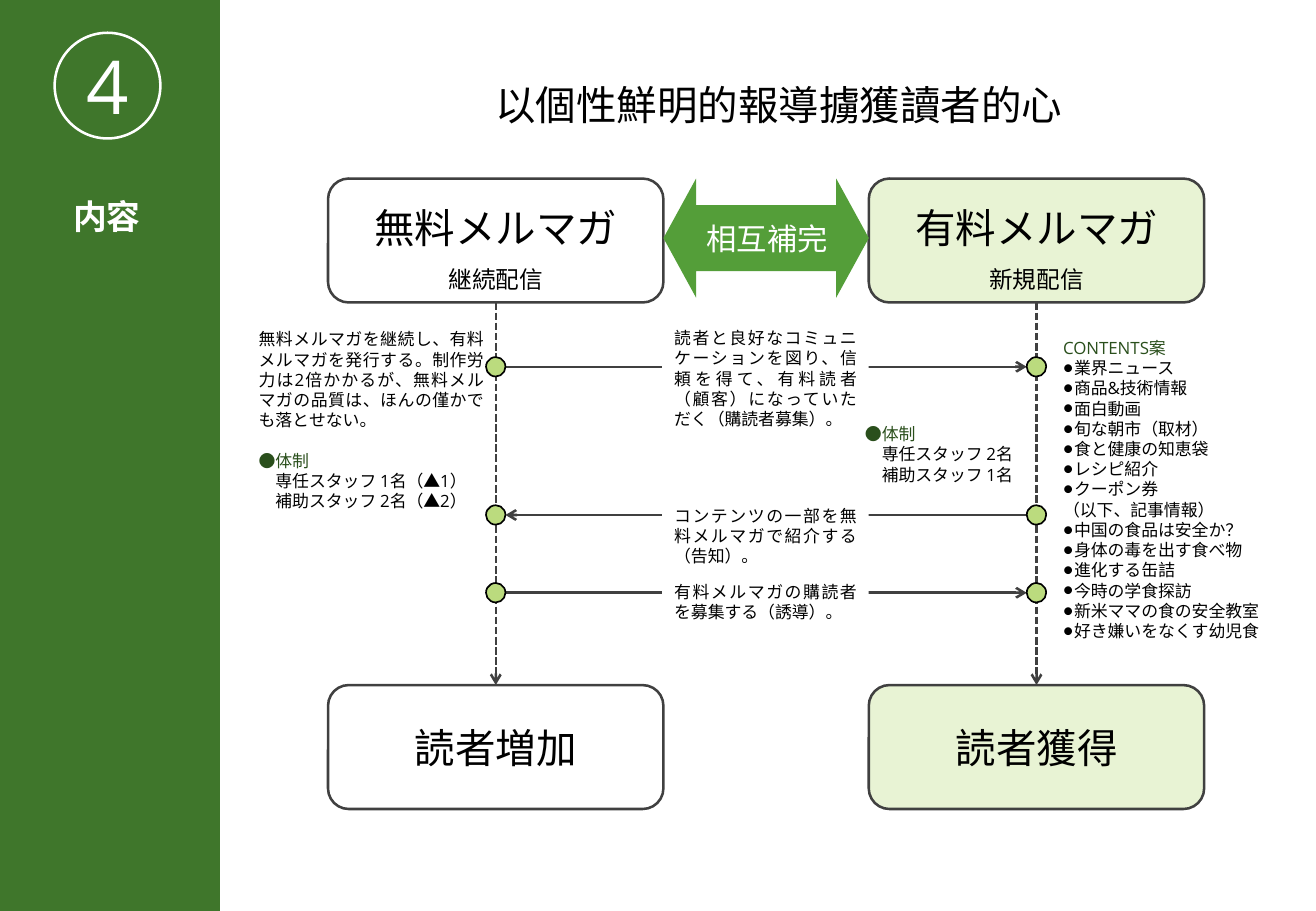
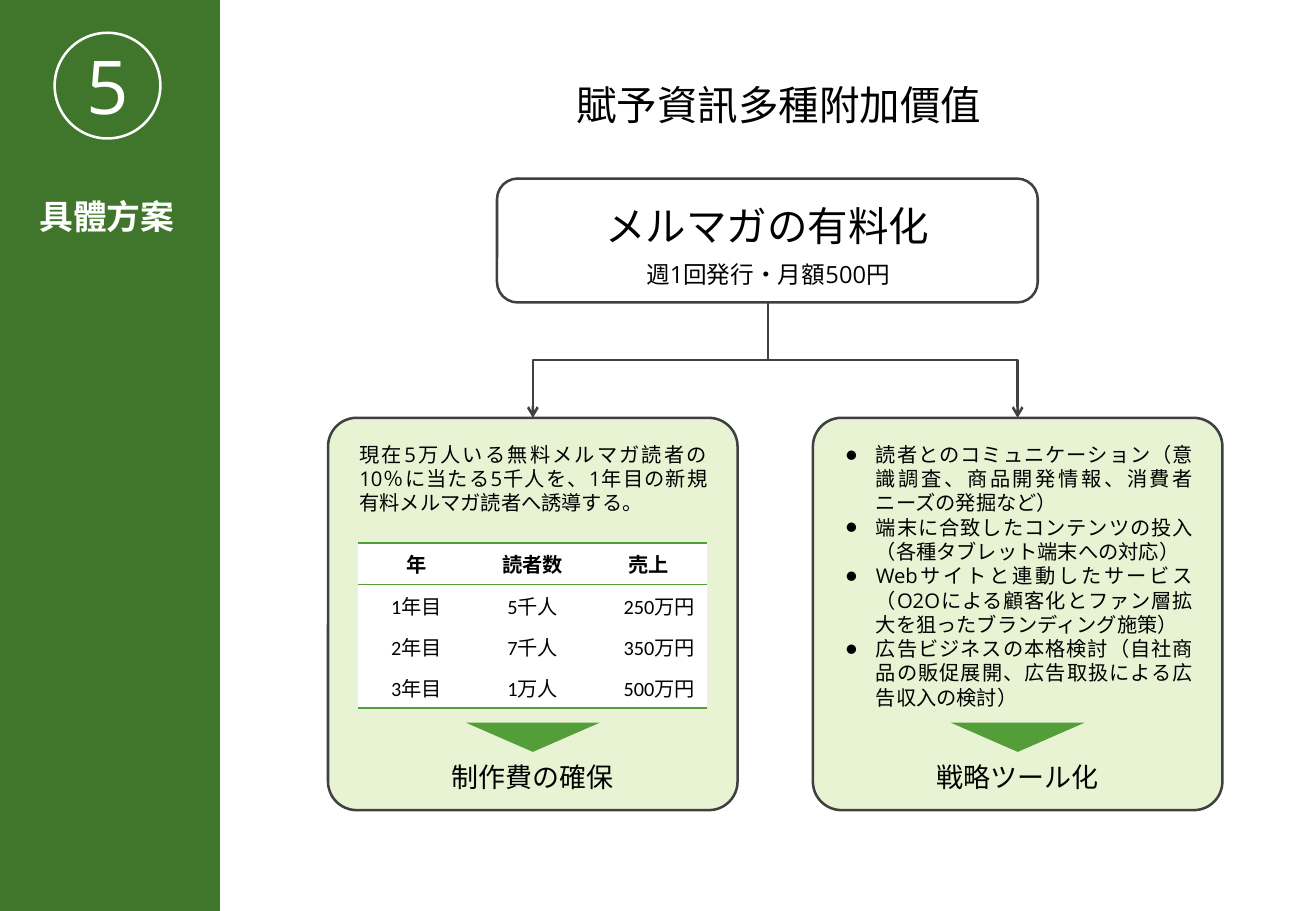
from lxml import etree
from pptx import Presentation
from pptx.dml.color import RGBColor
from pptx.enum.dml import MSO_LINE
from pptx.enum.shapes import MSO_CONNECTOR, MSO_SHAPE
from pptx.enum.text import MSO_ANCHOR, PP_ALIGN
from pptx.oxml.ns import qn
from pptx.util import Inches, Pt

RECT, ROUNDED = MSO_SHAPE.RECTANGLE, MSO_SHAPE.ROUNDED_RECTANGLE
OVAL, TRIANGLE = MSO_SHAPE.OVAL, MSO_SHAPE.ISOSCELES_TRIANGLE
DOUBLE_ARROW, DOT = MSO_SHAPE.LEFT_RIGHT_ARROW, MSO_SHAPE.FLOWCHART_CONNECTOR
STRAIGHT, ELBOW = MSO_CONNECTOR.STRAIGHT, MSO_CONNECTOR.ELBOW
CENTER, JUSTIFY, RIGHT = PP_ALIGN.CENTER, PP_ALIGN.JUSTIFY, PP_ALIGN.RIGHT
TOP, MIDDLE = MSO_ANCHOR.TOP, MSO_ANCHOR.MIDDLE
DASH = MSO_LINE.SQUARE_DOT

SIDEBAR, GREEN, DARK_GREEN = "3F762B", "549E39", "2A4F1C"
PALE, DOT_GREEN, OUTLINE = "E8F3D4", "BBDB7E", "404040"
BLACK, WHITE = "000000", "FFFFFF"
BODY_FONT, CJK_FONT, TABLE_FONT = "Open Sans", "Noto Sans CJK JP", "Calibri"
BULLET_FONT = "Calibri"
LINE_RATIO = 1.2
PLAIN_TABLE_STYLE = "{2D5ABB26-0587-4C30-8999-92F81FD0307C}"

CARD_W, CARD_H, CARD_TOP, GOAL_TOP = 2.76, 1.02, 1.47, 5.64
CONTENTS_LINES = [
    "CONTENTS案", "業界ニュース", "商品&技術情報", "面白動画", "旬な朝市（取材）",
    "食と健康の知恵袋", "レシピ紹介", "クーポン券", "（以下、記事情報）",
    "中国の食品は安全か？", "身体の毒を出す食べ物", "進化する缶詰",
    "今時の学食探訪", "新米ママの食の安全教室", "好き嫌いをなくす幼児食",
]
STRATEGIES = [
    "読者とのコミュニケーション（意識調査、商品開発情報、消費者ニーズの発掘など）",
    "端末に合致したコンテンツの投入（各種タブレット端末への対応）",
    "Webサイトと連動したサービス（O2Oによる顧客化とファン層拡大を狙ったブランディング施策）",
    "広告ビジネスの本格検討（自社商品の販促展開、広告取扱による広告収入の検討）",
]
SALES = [
    ("年", "読者数", "売上"),
    ("1年目", "5千人", "250万円"),
    ("2年目", "7千人", "350万円"),
    ("3年目", "1万人", "500万円"),
]


def rgb(hex_color):
    """Turn a hex string into a colour."""
    return RGBColor.from_string(hex_color)


def add_bullet(paragraph, indent):
    """Give a paragraph a round bullet with a hanging indent."""
    props = paragraph._p.get_or_add_pPr()
    props.set("marL", str(Inches(indent)))
    props.set("indent", str(-Inches(indent)))
    etree.SubElement(props, qn("a:buFont")).set("typeface", BULLET_FONT)
    etree.SubElement(props, qn("a:buChar")).set("char", "●")


def write(frame, lines, size=10, color=BLACK, align=JUSTIFY, font=BODY_FONT,
          bold=False, head_color=None, bullet_indent=0, plain=()):
    """Fill a text frame, one paragraph per line."""
    for index, line in enumerate(lines):
        paragraph = frame.add_paragraph() if index else frame.paragraphs[0]
        paragraph.alignment = align
        paragraph.line_spacing = Pt(size * LINE_RATIO)
        if bullet_indent and line not in plain:
            add_bullet(paragraph, bullet_indent)
        run = paragraph.add_run()
        run.text = line
        run.font.size, run.font.bold, run.font.name = Pt(size), bold, font
        is_head = head_color and index == 0
        run.font.color.rgb = rgb(head_color if is_head else color)
        east_asian = etree.SubElement(run._r.get_or_add_rPr(), qn("a:ea"))
        east_asian.set("typeface", CJK_FONT)


def add_text(slide, at, text, fill=None, **style):
    """Place a wrapped text box holding a string or a list of lines."""
    box = slide.shapes.add_textbox(*map(Inches, at))
    if fill:
        box.fill.solid()
        box.fill.fore_color.rgb = rgb(fill)
    frame = box.text_frame
    frame.word_wrap = True
    frame.vertical_anchor = TOP
    write(frame, [text] if isinstance(text, str) else text, **style)


def add_figure(slide, kind, at, fill=None, line=None, width=1.5, adjust=()):
    """Place a preset shape without shadow."""
    figure = slide.shapes.add_shape(kind, *map(Inches, at))
    figure.shadow.inherit = False
    for index, value in enumerate(adjust):
        figure.adjustments[index] = value
    if fill:
        figure.fill.solid()
        figure.fill.fore_color.rgb = rgb(fill)
    else:
        figure.fill.background()
    if line:
        figure.line.color.rgb = rgb(line)
        figure.line.width = Pt(width)
    else:
        figure.line.fill.background()
    return figure


def add_arrow(slide, start, end, kind=STRAIGHT, dash=None):
    """Draw an arrow with an open head at its end."""
    arrow = slide.shapes.add_connector(kind, *map(Inches, (*start, *end)))
    arrow.line.color.rgb = rgb(OUTLINE)
    arrow.line.width = Pt(1.5)
    if dash:
        arrow.line.dash_style = dash
    head = etree.SubElement(arrow.line._get_or_add_ln(), qn("a:tailEnd"))
    head.set("type", "arrow")
    etree.SubElement(arrow._element.spPr, qn("a:effectLst"))
    return arrow


def add_branch(slide, start, end):
    """Draw an elbow arrow that goes down, sideways and down again."""
    (x1, y1), (x2, y2) = start, end
    center_x, center_y = (x1 + x2) / 2, (y1 + y2) / 2
    half_run = abs(x2 - x1) / 2
    half_drop = (y2 - y1) / 2 * (1 if x2 < x1 else -1)
    arrow = add_arrow(slide, (center_x - half_drop, center_y - half_run),
                      (center_x + half_drop, center_y + half_run), ELBOW)
    turn = 90 if x2 < x1 else 270
    arrow._element.spPr.find(qn("a:xfrm")).set("rot", str(turn * 60000))


def add_rule(cell, side):
    """Draw a green border on one side of a table cell."""
    border = etree.Element(qn("a:" + side), w=str(Pt(1)))
    solid = etree.SubElement(border, qn("a:solidFill"))
    etree.SubElement(solid, qn("a:srgbClr")).set("val", GREEN)
    props = cell._tc.get_or_add_tcPr()
    props.insert(len(props.findall(qn("a:lnT"))), border)


def add_sales_table(slide, at):
    """Place the table of readers and sales by year."""
    last = len(SALES) - 1
    table = slide.shapes.add_table(len(SALES), 3, *map(Inches, at)).table
    table.first_row = table.horz_banding = False
    table._tbl.tblPr.find(qn("a:tableStyleId")).text = PLAIN_TABLE_STYLE
    for r, record in enumerate(SALES):
        for c, value in enumerate(record):
            cell = table.cell(r, c)
            cell.fill.solid()
            cell.fill.fore_color.rgb = rgb(WHITE)
            cell.vertical_anchor = MIDDLE
            cell.margin_top, cell.margin_bottom = Inches(0.08), Inches(0.03)
            write(cell.text_frame, [value], size=12, font=TABLE_FONT,
                  bold=r == 0, align=RIGHT if r and c == 2 else CENTER)
            if r == 0:
                add_rule(cell, "lnT")
            if r in (0, last):
                add_rule(cell, "lnB")


def add_page(deck, number, section, title):
    """Add a slide with its sidebar, section number and title."""
    slide = deck.slides.add_slide(deck.slide_layouts[6])
    add_figure(slide, RECT, (0, 0, 1.81, 7.5), SIDEBAR)
    add_figure(slide, OVAL, (0.45, 0.27, 0.87, 0.87), line=WHITE)
    add_text(slide, (0.49, 0.28, 0.79, 0.84), number, size=44, color=WHITE, align=CENTER)
    add_text(slide, (-0.17, 1.56, 2.1, 0.44), section, size=20, color=WHITE,
             bold=True, align=CENTER)
    add_text(slide, (3.77, 0.61, 5.28, 0.5), title, size=24, font=CJK_FONT, align=CENTER)
    return slide


def add_lane(slide, left, fill, name, status, goal):
    """Add a magazine card, its goal card and the dashed arrow between."""
    middle = left + CARD_W / 2
    for top in (CARD_TOP, GOAL_TOP):
        add_figure(slide, ROUNDED, (left, top, CARD_W, CARD_H), fill, OUTLINE)
    add_arrow(slide, (middle, CARD_TOP + CARD_H), (middle, GOAL_TOP), dash=DASH)
    for text, top, size in ((name, 1.62, 24), (status, 2.13, 14), (goal, 5.9, 24)):
        add_text(slide, (left + 0.22, top, 2.32, 0.5), text, size=size, align=CENTER)


def add_exchange(slide, y, text, top, height, to_left=False):
    """Add a labelled arrow between the lanes, with a dot at either end."""
    ends = [(4.16, y), (8.45, y)]
    add_arrow(slide, *(reversed(ends) if to_left else ends))
    add_text(slide, (5.45, top, 1.7, height), text, fill=WHITE)
    for left in (4, 8.45):
        add_figure(slide, DOT, (left, y - 0.08, 0.16, 0.16), DOT_GREEN, BLACK, 1)


def build_contents(deck):
    """Build the slide on the free and the paid magazine."""
    slide = add_page(deck, "4", "内容", "以個性鮮明的報導擄獲讀者的心")
    add_lane(slide, 2.7, None, "無料メルマガ", "継続配信", "読者増加")
    add_lane(slide, 7.15, PALE, "有料メルマガ", "新規配信", "読者獲得")
    add_figure(slide, DOUBLE_ARROW, (5.46, 1.47, 1.69, 0.98), GREEN, adjust=(0.554, 0.274))
    add_text(slide, (5.6, 1.76, 1.43, 0.4), "相互補完", size=18, color=WHITE, align=CENTER)
    add_exchange(slide, 3.02, "読者と良好なコミュニケーションを図り、信頼を得て、有料読者"
                 "（顧客）になっていただく（購読者募集）。", 2.65, 0.94)
    add_exchange(slide, 4.24, "コンテンツの一部を無料メルマガで紹介する（告知）。",
                 4.11, 0.61, to_left=True)
    add_exchange(slide, 4.88, "有料メルマガの購読者を募集する（誘導）。", 4.74, 0.44)
    add_text(slide, (2.03, 2.66, 2.05, 0.94), "無料メルマガを継続し、有料メルマガを発行する。"
             "制作労力は2倍かかるが、無料メルマガの品質は、ほんの僅かでも落とせない。")
    add_text(slide, (2.03, 3.66, 2.05, 0.61),
             ["●体制", "　専任スタッフ\t1名（▲1）", "　補助スタッフ\t2名（▲2）"],
             head_color=DARK_GREEN)
    add_text(slide, (7.02, 3.44, 1.47, 0.61),
             ["●体制", "　専任スタッフ\t2名", "　補助スタッフ\t1名"],
             head_color=DARK_GREEN)
    add_text(slide, (8.65, 2.73, 1.98, 2.63), CONTENTS_LINES, head_color=DARK_GREEN,
             bullet_indent=0.09, plain=("CONTENTS案", "（以下、記事情報）"))


def build_plan(deck):
    """Build the slide on charging for the magazine."""
    slide = add_page(deck, "5", "具體方案", "賦予資訊多種附加價值")
    add_figure(slide, ROUNDED, (4.09, CARD_TOP, 4.45, CARD_H), line=OUTLINE)
    add_text(slide, (4.54, 1.61, 3.55, 0.5), "メルマガの有料化", size=24, align=CENTER)
    add_text(slide, (4.82, 2.09, 3, 0.34), "週1回発行・月額500円", size=14, align=CENTER)
    for left, outcome in ((2.7, "制作費の確保"), (6.69, "戦略ツール化")):
        middle = left + 3.37 / 2
        add_figure(slide, ROUNDED, (left, 3.44, 3.37, 3.23), PALE, OUTLINE, adjust=(0.073,))
        add_branch(slide, (6.32, CARD_TOP + CARD_H), (middle, 3.44))
        pointer = add_figure(slide, TRIANGLE, (middle - 0.55, 5.95, 1.1, 0.24), GREEN)
        pointer.rotation = 180
        add_text(slide, (middle - 1, 6.21, 2, 0.37), outcome, size=16, align=CENTER)
    add_text(slide, (2.86, 3.59, 3.06, 0.71), "現在5万人いる無料メルマガ読者の10％に当たる"
             "5千人を、1年目の新規有料メルマガ読者へ誘導する。", size=12)
    add_sales_table(slide, (2.95, 4.47, 2.87, 1.36))
    add_text(slide, (6.86, 3.59, 3.06, 2.32), STRATEGIES, size=12, bullet_indent=0.25)


def main():
    """Build and save the presentation."""
    deck = Presentation()
    deck.slide_width, deck.slide_height = Inches(10.83), Inches(7.5)
    build_contents(deck)
    build_plan(deck)
    deck.save("out.pptx")


main()
